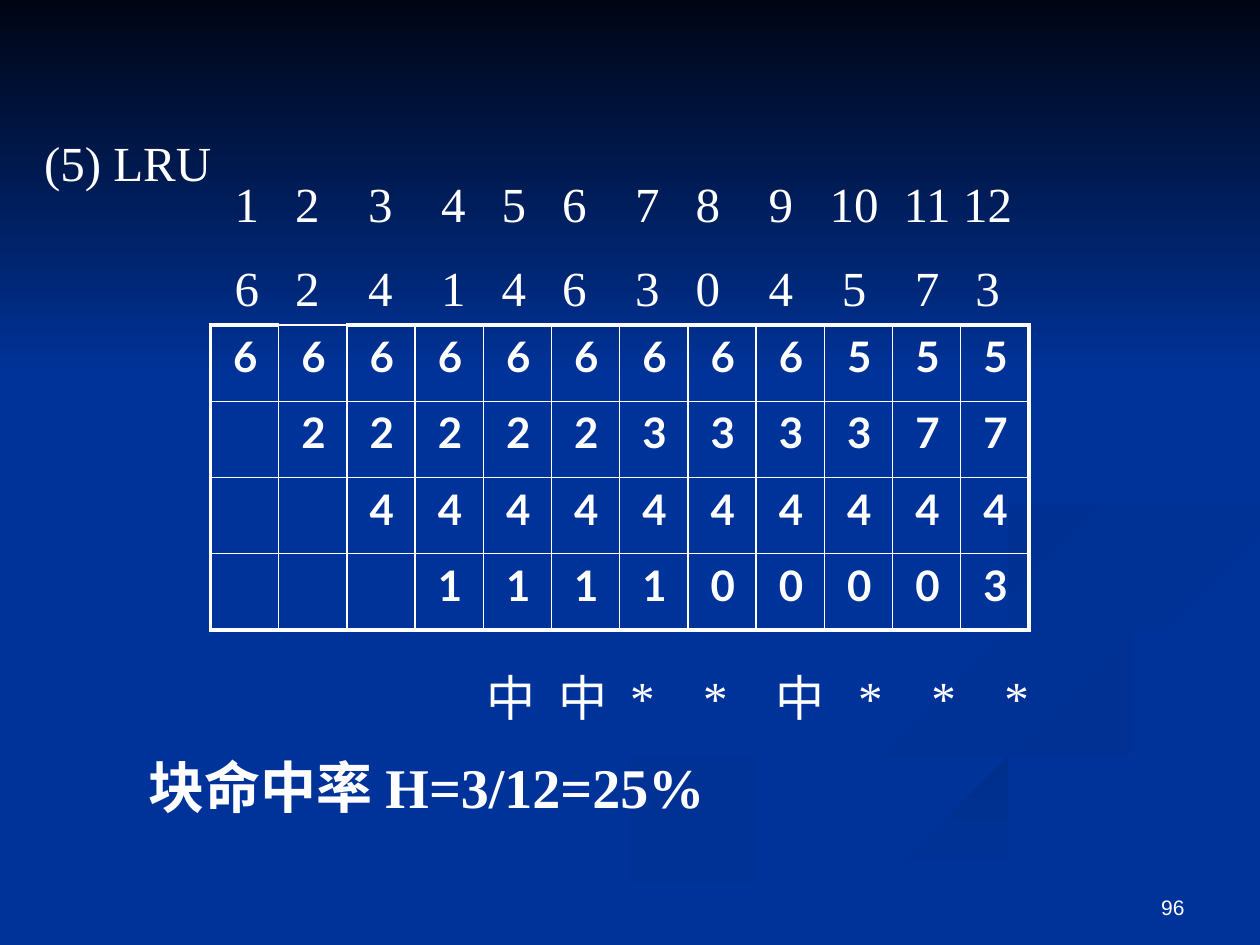
from itertools import accumulate
from typing import NamedTuple

from pptx import Presentation, util as u
from pptx.dml.color import RGBColor
from pptx.enum import text
from pptx.oxml import parse_xml
from pptx.oxml.ns import nsdecls

WIDTH, HEIGHT = 10, 7.5
WHITE, BLUE = "FFFFFF", "003399"
SERIF = "Times New Roman"
Point = tuple[float, float]


class Swirl(NamedTuple):
    """A ribbon between two edges, each a smooth curve through its points."""
    start: str
    end: str
    angle: int
    edges: list[list[Point]]


class Line(NamedTuple):
    """One text line; cells are centred on tab stops when these are given."""
    cells: list[str]
    stops: list[float] = []


class Caption(NamedTuple):
    left: float
    top: float
    width: float
    height: float
    lines: list[Line]
    size: int = 28
    bold: bool = False


LOW_EDGE = [(5.1, 7.49), (6.96, 6.69), (8.3, 6.29), (9.98, 5.81)]
HOOK = [(7.81, 4.6), (8.35, 4.3), (9.33, 4.15), (9.98, 4.02)]
SWIRLS = [
    Swirl(BLUE, "003193", 0, [
        [(5.75, 4.59), (6.14, 4.96), (7.31, 5.33), (8, 5.81), (7.21, 6.23), (5.3, 6.75),
         (3.61, 7.49)],
        [(3, 7.49), (4.58, 6.74), (7.14, 6.05), (7.86, 5.66), (7.28, 5.35), (6.11, 4.99),
         (5.7, 4.7)]]),
    Swirl(BLUE, "003193", 45, [
        [(7.24, 4.64), (7.58, 4.98), (8.7, 5.3), (9.43, 5.7), (8.94, 6.05)],
        [(8.94, 6.05), (9.18, 5.81), (8.68, 5.44), (7.66, 5.12), (7.24, 4.64)]]),
    Swirl("002F8C", BLUE, 90, [
        LOW_EDGE, [(9.98, 6.09), (8.21, 6.51), (6.95, 6.92), (5.71, 7.49)]]),
    Swirl(BLUE, BLUE, 0, [
        [(4.77, 7.49), (6.63, 6.68), (8.92, 6.05), (9.43, 5.7), (8.71, 5.3), (7.59, 4.98),
         (7.25, 4.64), (8.08, 4.17), (9.98, 3.87)],
        HOOK[::-1] + [(8.17, 4.92), (9.98, 5.38)],
        LOW_EDGE[::-1]]),
    Swirl("003091", BLUE, 45, [
        HOOK, [(9.98, 4.2), (8.78, 4.39), (8.05, 4.72), (8.26, 4.96)]]),
    Swirl("002F8E", BLUE, 45, [
        [(7.62, 2.33), (8.43, 2.75), (8.94, 3.44), (8.41, 3.96), (6.83, 4.3), (5.93, 4.7),
         (6.22, 5)],
        [(6.22, 5), (5.77, 4.62), (6.49, 4.2), (8.18, 3.86), (8.89, 3.35), (8.46, 2.79),
         (7.62, 2.33)]]),
    Swirl("000514", BLUE, 90, [[(0, 0), (WIDTH, 0)], [(WIDTH, 3.08), (0, 3.08)]]),
]

GAPS = {"n": 0.48, "w": 0.58}  # narrow and wide column gaps
STEP_STOPS = list(accumulate((GAPS[gap] for gap in "nwwnnwnwwwn"), initial=0.19))
HIT_STOPS = list(accumulate((0.57, 0.47, 0.58, 0.67, 0.56, 0.58, 0.58), initial=0.71))
TITLE = Caption(0.25, 1, 2.08, 0.57, [Line(["(5) LRU"])])
CAPTIONS = [
    Caption(1.67, 1.33, 6.67, 1.27, [
        Line([str(step) for step in range(1, 13)], STEP_STOPS),
        Line(list("624146304573"), STEP_STOPS)]),
    Caption(3.25, 5.25, 5.33, 0.57, [Line(list("中中**中***"), HIT_STOPS)]),
    Caption(1.08, 5.92, 7.42, 0.63, [Line(["块命中率 H=3/12=25%"])], 32, True),
]
FRAMES = ["666666666555", "-22222333377", "--4444444444", "---111100003"]


def rgb(value: str) -> RGBColor:
    return RGBColor.from_string(value)


def style(paragraph, size: int, font: str, bold: bool = False) -> None:
    paragraph.font.size, paragraph.font.name, paragraph.font.bold = u.Pt(size), font, bold
    paragraph.font.color.rgb = rgb(WHITE)


def smooth(edge: list[Point], steps: int = 6) -> list[Point]:
    """Catmull-Rom curve through the points of an edge."""
    padded = [edge[0], *edge, edge[-1]]
    curve = [edge[0]]
    for a, b, c, d in zip(padded, padded[1:], padded[2:], padded[3:]):
        for t in (step / steps for step in range(1, steps + 1)):
            curve.append(tuple(
                q + t / 2 * (r - p + t * (2 * p - 5 * q + 4 * r - s
                                          + t * (3 * q - p - 3 * r + s)))
                for p, q, r, s in zip(a, b, c, d)))
    return curve


def draw_swirl(slide, swirl: Swirl) -> None:
    outline = [point for edge in swirl.edges for point in smooth(edge)]
    builder = slide.shapes.build_freeform(*outline[0], scale=u.Inches(1))
    builder.add_line_segments(outline[1:], close=True)
    shape = builder.convert_to_shape()
    shape.shadow.inherit = False
    shape.line.fill.background()
    if swirl.start == swirl.end:
        shape.fill.solid()
        shape.fill.fore_color.rgb = rgb(swirl.start)
        return
    shape.fill.gradient()
    shape.fill.gradient_angle = -swirl.angle % 360
    for stop, colour in zip(shape.fill.gradient_stops, (swirl.start, swirl.end)):
        stop.color.rgb = rgb(colour)


def add_tabs(paragraph, stops: list[float]) -> None:
    tabs = "".join(f'<a:tab pos="{u.Inches(stop)}" algn="ctr"/>' for stop in stops)
    paragraph._p.get_or_add_pPr().append(
        parse_xml(f'<a:tabLst {nsdecls("a")}>{tabs}</a:tabLst>'))


def write_caption(shape, caption: Caption) -> None:
    shape.left, shape.top = u.Inches(caption.left), u.Inches(caption.top)
    shape.width, shape.height = u.Inches(caption.width), u.Inches(caption.height)
    frame = shape.text_frame
    frame.word_wrap, frame.auto_size = True, text.MSO_AUTO_SIZE.NONE
    frame.vertical_anchor = text.MSO_ANCHOR.TOP
    for index, line in enumerate(caption.lines):
        paragraph = frame.add_paragraph() if index else frame.paragraphs[0]
        paragraph.alignment = text.PP_ALIGN.LEFT
        if index:
            paragraph.space_before = u.Pt(caption.size / 2)
        if line.stops:
            add_tabs(paragraph, line.stops)
        lead = "\t" if line.stops else ""
        paragraph.add_run().text = lead + "\t".join(line.cells)
        style(paragraph, caption.size, SERIF, caption.bold)


def set_borders(cell, thick: dict[str, bool]) -> None:
    for side, is_thick in thick.items():
        cell._tc.get_or_add_tcPr().append(parse_xml(
            f'<a:ln{side} {nsdecls("a")} w="{u.Pt(2.25 if is_thick else 1)}">'
            f'<a:solidFill><a:srgbClr val="{WHITE}"/></a:solidFill></a:ln{side}>'))


def draw_frames(slide) -> None:
    rows, columns = len(FRAMES), len(FRAMES[0])
    table = slide.shapes.add_table(rows, columns, u.Inches(1.67), u.Inches(2.58),
                                   u.Inches(6.5), u.Inches(2.42)).table
    table.first_row = table.horz_banding = False
    for r, pages in enumerate(FRAMES):
        for c, page in enumerate(pages):
            cell = table.cell(r, c)
            set_borders(cell, {"L": c == 0, "R": c == columns - 1,
                               "T": r == 0 and c != 1, "B": r == rows - 1})
            cell.fill.background()
            paragraph = cell.text_frame.paragraphs[0]
            if page != "-":
                paragraph.add_run().text = f" {page}"
            style(paragraph, 24, "Lato", True)


def draw_page_number(slide) -> None:
    box = slide.shapes.add_textbox(u.Inches(7.17), u.Inches(6.83), u.Inches(2.33), u.Inches(0.52))
    box.text_frame.word_wrap = True
    box.text_frame.vertical_anchor = text.MSO_ANCHOR.BOTTOM
    paragraph = box.text_frame.paragraphs[0]
    paragraph.add_run().text = "96"
    paragraph.alignment = text.PP_ALIGN.RIGHT
    style(paragraph, 12, "Arial")


def main() -> None:
    prs = Presentation()
    prs.slide_width, prs.slide_height = u.Inches(WIDTH), u.Inches(HEIGHT)
    slide = prs.slides.add_slide(prs.slide_layouts[5])
    slide.background.fill.solid()
    slide.background.fill.fore_color.rgb = rgb(BLUE)
    for swirl in SWIRLS:
        draw_swirl(slide, swirl)
    draw_page_number(slide)
    draw_frames(slide)
    for caption in CAPTIONS:
        write_caption(slide.shapes.add_textbox(0, 0, 0, 0), caption)
    title = slide.shapes.title
    write_caption(title, TITLE)
    slide.shapes._spTree.append(title._element)  # in front of the backdrop
    prs.save("out.pptx")


if __name__ == "__main__":
    main()
